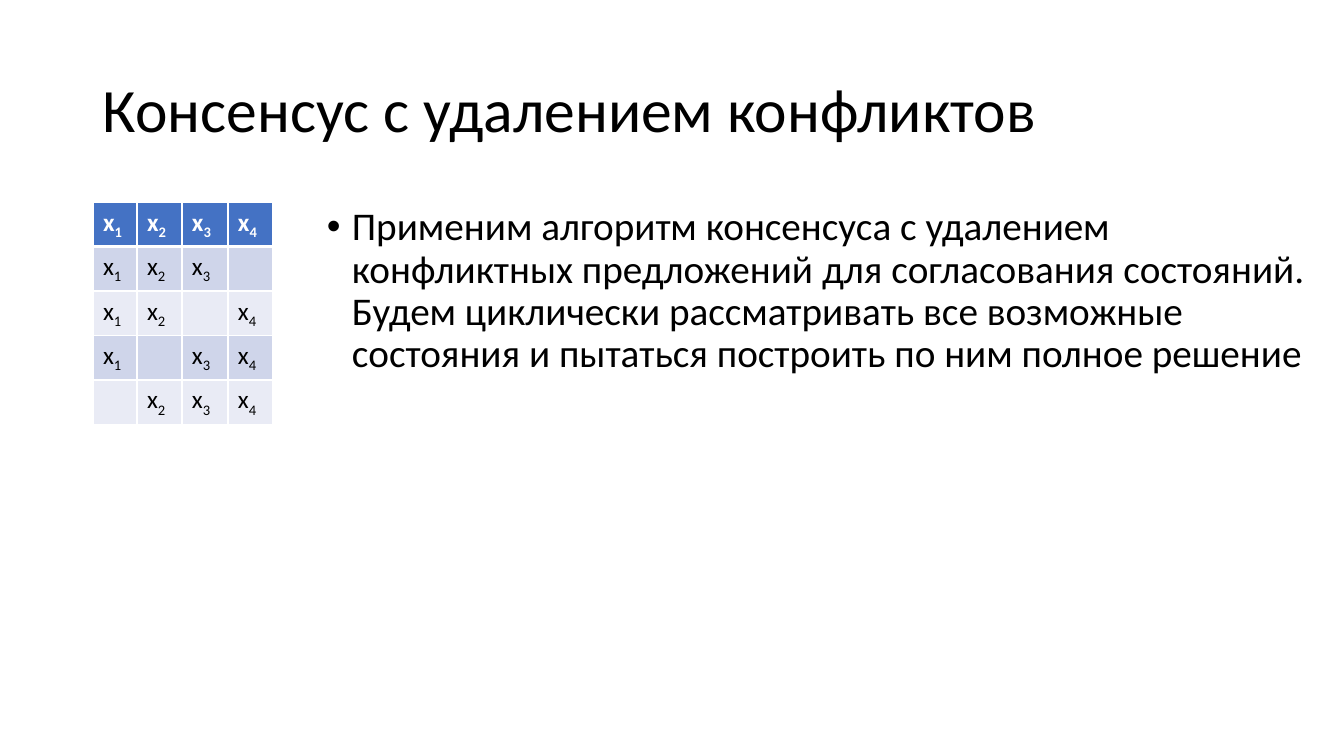
from lxml.etree import SubElement
from pptx import Presentation
from pptx.dml.color import RGBColor
from pptx.enum.text import MSO_ANCHOR as Anchor
from pptx.oxml.ns import qn
from pptx.util import Emu, Pt

# Content
TITLE = "Консенсус с удалением конфликтов"
BODY = ("Применим алгоритм консенсуса с удалением конфликтных предложений "
        "для согласования состояний. Будем циклически рассматривать все "
        "возможные состояния и пытаться построить по ним полное решение")
VARIABLES = (1, 2, 3, 4)
STATES = [(1, 2, 3, 4), (1, 2, 3), (1, 2, 4), (1, 3, 4), (2, 3, 4)]

# Style and layout in pixels
FONT = "Calibri"
COLORS = {"text": "000000", "white": "FFFFFF", "header": "4472C4",
          "odd": "CFD5EA", "even": "E9EBF5"}
TITLE_BOX = (93, 40, 1159, 146)
BODY_BOX = (317, 202, 1016, 545)
TABLE_AT = (93, 202)
COLUMNS = (44, 45, 46, 45)
ROW = 41
INDENT = 25


def px(pixels):
    return Emu(round(pixels * 914400 / 100.8))


def style(paragraph, size, color="text", bold=False):
    font = paragraph.font
    font.name, font.size, font.bold = FONT, Pt(size), bold
    font.color.rgb = RGBColor.from_string(COLORS[color])


def add_text(box, text, size, anchor):
    frame = slide.shapes.add_textbox(*map(px, box)).text_frame
    frame.word_wrap = True
    frame.vertical_anchor = anchor
    paragraph = frame.paragraphs[0]
    paragraph.text = text
    paragraph.line_spacing = 0.9
    style(paragraph, size)
    return paragraph


def add_border(cell, side, width):
    line = SubElement(cell._tc.get_or_add_tcPr(), qn(f"a:ln{side}"), w=str(Pt(width)))
    fill = SubElement(line, qn("a:solidFill"))
    SubElement(fill, qn("a:srgbClr"), val=COLORS["white"])


deck = Presentation()
deck.slide_width, deck.slide_height = px(1344), px(756)
slide = deck.slides.add_slide(deck.slide_layouts[6])

# Title
add_text(TITLE_BOX, TITLE, 44, Anchor.MIDDLE)

# Bulleted body
body = add_text(BODY_BOX, BODY, 28, Anchor.TOP)
body.space_before = Pt(10)
bullet_format = body._p.get_or_add_pPr()
bullet_format.set("marL", str(px(INDENT)))
bullet_format.set("indent", str(-px(INDENT)))
SubElement(bullet_format, qn("a:buFont"), typeface="Arial")
SubElement(bullet_format, qn("a:buChar"), char="•")
# Default run properties must follow the bullet
bullet_format.append(bullet_format.find(qn("a:defRPr")))

# Table of states: each row shows the variables it holds
states = slide.shapes.add_table(
    len(STATES), len(VARIABLES), *map(px, TABLE_AT),
    px(sum(COLUMNS)), px(ROW * len(STATES))).table
for column, width in zip(states.columns, COLUMNS):
    column.width = px(width)
for r, state in enumerate(STATES):
    states.rows[r].height = px(ROW)
    is_header = r == 0
    band = "header" if is_header else "odd" if r % 2 else "even"
    for c, variable in enumerate(VARIABLES):
        cell = states.cell(r, c)
        for side in "LRTB":
            thick = (is_header and side == "B") or (r == 1 and side == "T")
            add_border(cell, side, 3 if thick else 1)
        cell.fill.solid()
        cell.fill.fore_color.rgb = RGBColor.from_string(COLORS[band])
        entry = cell.text_frame.paragraphs[0]
        style(entry, 18, "white" if is_header else "text", is_header)
        if variable in state:
            entry.add_run().text = "x"
            index = entry.add_run()
            index.text = str(variable)
            index.font._element.set("baseline", "-25000")

deck.save("out.pptx")
